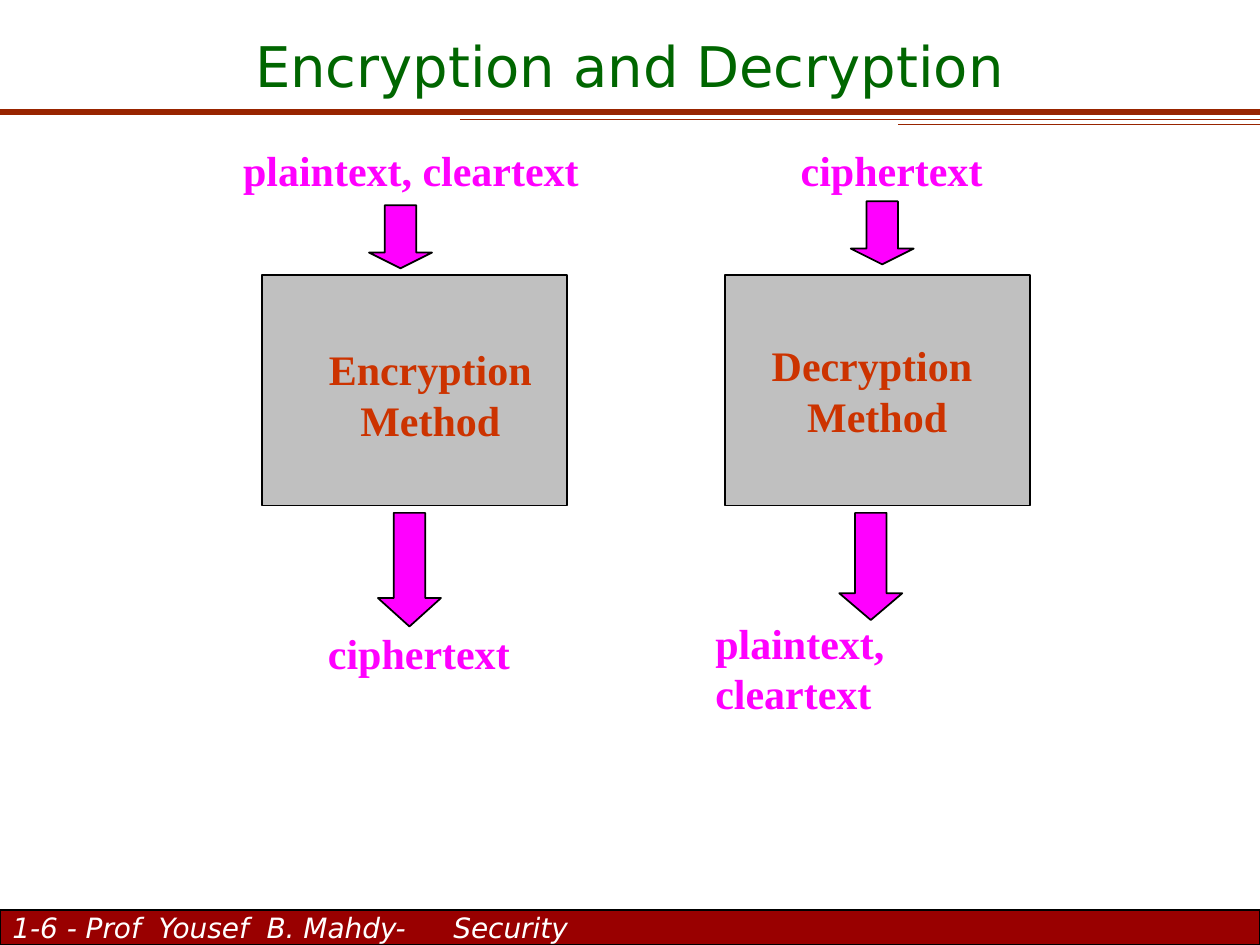
"""Build the Encryption and Decryption slide."""
import pptx
import pptx.dml.color
import pptx.enum.shapes
import pptx.enum.text
import pptx.oxml
import pptx.oxml.ns
import pptx.util
from lxml import etree

Cm = pptx.util.Cm
Pt = pptx.util.Pt
SHAPE = pptx.enum.shapes.MSO_SHAPE
ANCHOR = pptx.enum.text.MSO_ANCHOR
LEFT = pptx.enum.text.PP_ALIGN.LEFT
CENTER = pptx.enum.text.PP_ALIGN.CENTER

THEME = {
    "title": {"font": "DejaVu Sans", "size": 32, "color": "006600"},
    "footer": {"font": "DejaVu Sans", "size": 16, "color": "FFFFFF", "italic": True},
    "data": {"font": "Times New Roman", "size": 24, "color": "FF00FF", "bold": True},
    "method": {"font": "Times New Roman", "size": 24, "color": "CC3300", "bold": True},
    "rule": "982400",
    "bar": "990000",
    "box": "C0C0C0",
    "arrow": "FF00FF",
    "outline": "000000",
}
WIDTH, HEIGHT = 25.4, 19.05

TITLE = "Encryption and Decryption"
FOOTER = "1-6 - Prof  Yousef  B. Mahdy-\tSecurity"
FOOTER_TAB = 16.99
RULES = [(0, 2.26, 3), (9.27, 2.41, 0.75), (18.11, 2.51, 0.75)]
BOX_TOP, BOX_WIDTH, BOX_HEIGHT = 5.54, 6.15, 4.65
BOXES = [(5.28, ""), (14.61, "Decryption \vMethod")]
LABELS = [
    ("plaintext, cleartext", "data", LEFT, True, (4.65, 2.79, 8.69, 1.27)),
    ("ciphertext", "data", CENTER, True, (14.38, 2.79, 7.19, 1.27)),
    ("Encryption Method", "method", CENTER, True, (5.92, 6.81, 5.51, 2.29)),
    ("ciphertext", "data", CENTER, True, (4.85, 12.52, 7.19, 1.27)),
    ("plaintext, cleartext", "data", LEFT, False, (14.17, 12.32, 7.26, 1.27)),
]
ARROW_WIDTH = 1.27
ARROWS = [(7.44, 4.14, 1.27), (7.62, 10.34, 2.29), (16.92, 10.34, 2.16), (17.15, 4.06, 1.27)]


def rgb(color):
    return pptx.dml.color.RGBColor.from_string(color)


def write(frame, text, style, align, anchor, wraps=True):
    frame.text = text
    frame.word_wrap = wraps
    frame.vertical_anchor = anchor
    paragraph = frame.paragraphs[0]
    paragraph.alignment = align
    font = paragraph.font
    font.name = style["font"]
    font.size = Pt(style["size"])
    font.color.rgb = rgb(style["color"])
    font.bold = style.get("bold", False)
    font.italic = style.get("italic", False)


def add_filled(slide, preset, place, fill):
    shape = slide.shapes.add_shape(preset, *map(Cm, place))
    shape.shadow.inherit = False
    shape.fill.solid()
    shape.fill.fore_color.rgb = rgb(fill)
    shape.line.color.rgb = rgb(THEME["outline"])
    shape.line.width = Pt(1)
    return shape


def add_rule(slide, left, y, weight):
    rule = slide.shapes.add_connector(
        pptx.enum.shapes.MSO_CONNECTOR.STRAIGHT, Cm(left), Cm(y), Cm(WIDTH), Cm(y))
    rule.line.color.rgb = rgb(THEME["rule"])
    rule.line.width = Pt(weight)
    etree.SubElement(rule._element.spPr, pptx.oxml.ns.qn("a:effectLst"))


def add_footer(slide):
    bar = add_filled(slide, SHAPE.RECTANGLE, (0, 18.34, WIDTH, 0.71), THEME["bar"])
    paragraph = bar.text_frame.paragraphs[0]
    tabs = etree.SubElement(paragraph._p.get_or_add_pPr(), pptx.oxml.ns.qn("a:tabLst"))
    etree.SubElement(tabs, pptx.oxml.ns.qn("a:tab"), pos=str(Cm(FOOTER_TAB)), algn="l")
    write(bar.text_frame, FOOTER, THEME["footer"], LEFT, ANCHOR.MIDDLE)


def main():
    deck = pptx.Presentation()
    deck.slide_width, deck.slide_height = Cm(WIDTH), Cm(HEIGHT)
    slide = deck.slides.add_slide(deck.slide_layouts.get_by_name("Title Only"))

    title = slide.shapes.title
    title.left, title.top, title.width, title.height = map(Cm, (0, 0.64, WIDTH, 1.47))
    write(title.text_frame, TITLE, THEME["title"], CENTER, ANCHOR.BOTTOM)

    for rule in RULES:
        add_rule(slide, *rule)
    add_footer(slide)

    for left, method in BOXES:
        box = add_filled(slide, SHAPE.RECTANGLE, (left, BOX_TOP, BOX_WIDTH, BOX_HEIGHT), THEME["box"])
        if method:
            write(box.text_frame, method, THEME["method"], CENTER, ANCHOR.MIDDLE, False)

    for text, style, align, wraps, place in LABELS:
        label = slide.shapes.add_textbox(*map(Cm, place))
        write(label.text_frame, text, THEME[style], align, ANCHOR.TOP, wraps)

    for left, top, height in ARROWS:
        arrow = add_filled(slide, SHAPE.DOWN_ARROW, (left, top, ARROW_WIDTH, height), THEME["arrow"])
        arrow.adjustments[1] = 0.25 * height / ARROW_WIDTH

    deck.save("out.pptx")


if __name__ == "__main__":
    main()
